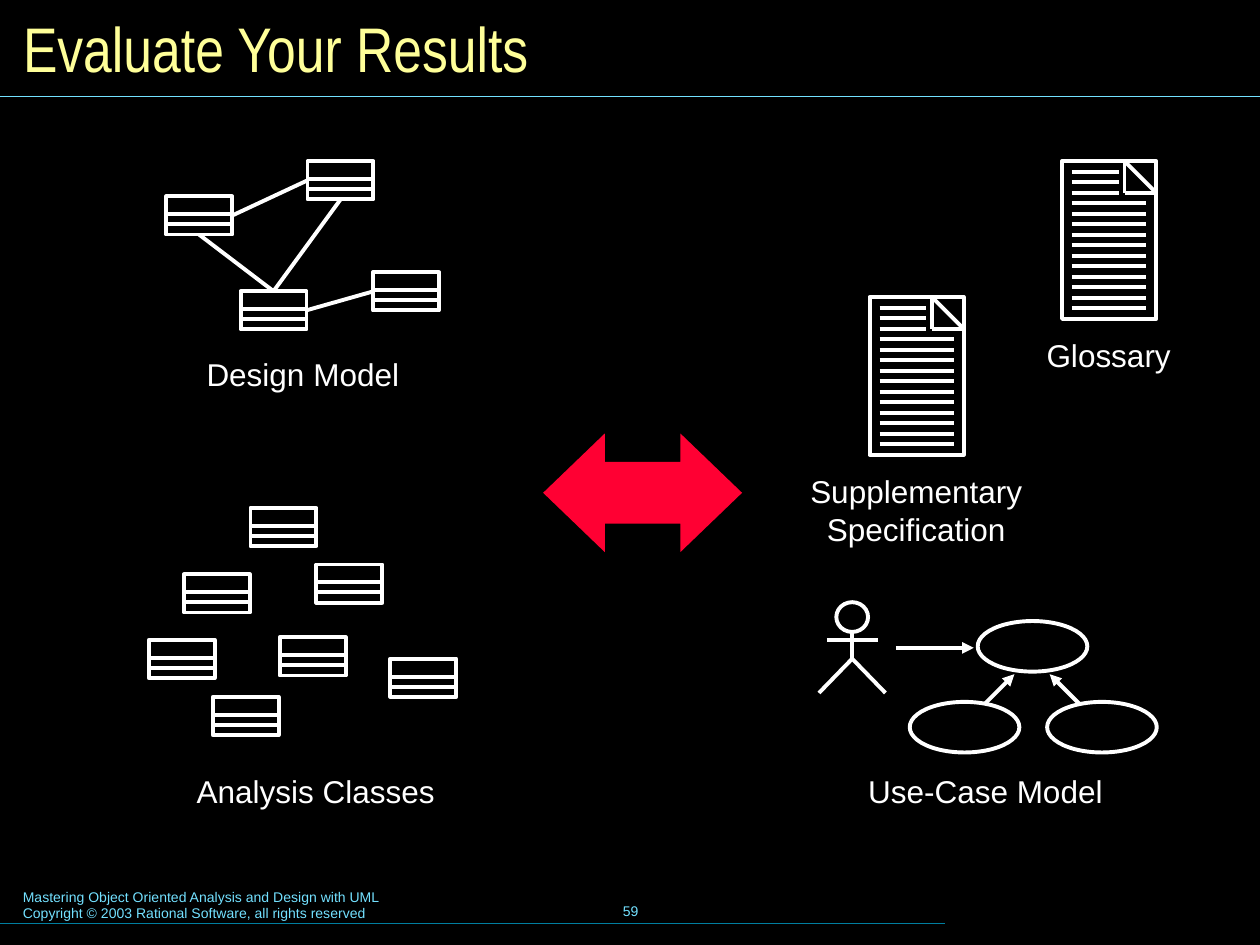
from typing import NamedTuple

from lxml import etree
from pptx import Presentation
from pptx.dml.color import RGBColor
from pptx.enum.shapes import MSO_CONNECTOR, MSO_SHAPE
from pptx.enum.text import MSO_ANCHOR, MSO_AUTO_SIZE, PP_ALIGN
from pptx.oxml.ns import qn
from pptx.util import Cm, Pt

STRAIGHT = MSO_CONNECTOR.STRAIGHT
RECT, OVAL = MSO_SHAPE.RECTANGLE, MSO_SHAPE.OVAL
DOUBLE_ARROW = MSO_SHAPE.LEFT_RIGHT_ARROW
LEFT, CENTER = PP_ALIGN.LEFT, PP_ALIGN.CENTER
TOP, MIDDLE = MSO_ANCHOR.TOP, MSO_ANCHOR.MIDDLE
FIXED, GROW = MSO_AUTO_SIZE.NONE, MSO_AUTO_SIZE.SHAPE_TO_FIT_TEXT
SIDE_TOP, SIDE_LEFT, SIDE_BOTTOM, SIDE_RIGHT = range(4)

BLACK, WHITE, RED = "000000", "FFFFFF", "FF0033"
YELLOW, SKY, TEAL = "FFFF99", "73E1FF", "007E9F"


class Point(NamedTuple):
    x: float
    y: float


class Box(NamedTuple):
    x: float
    y: float
    w: float
    h: float


class Label(NamedTuple):
    lines: list[str]
    box: Box
    size: int = 18
    color: str = WHITE
    align: PP_ALIGN = CENTER
    anchor: MSO_ANCHOR = TOP
    wrap: bool = False
    auto_size: MSO_AUTO_SIZE = GROW


class Join(NamedTuple):
    start: int
    start_side: int
    end: int
    end_side: int


CLASS_W, CLASS_H = 1.33, 0.77
CLASS_RULES = (0.36, 0.56)
DESIGN_CLASSES = [Point(3.35, 3.96), Point(6.2, 3.25), Point(4.85, 5.87), Point(7.52, 5.49)]
DESIGN_JOINS = [
    Join(2, SIDE_TOP, 0, SIDE_BOTTOM),
    Join(0, SIDE_RIGHT, 1, SIDE_LEFT),
    Join(2, SIDE_RIGHT, 3, SIDE_LEFT),
    Join(2, SIDE_TOP, 1, SIDE_BOTTOM),
]
ANALYSIS_CLASSES = [
    Point(3.71, 11.58), Point(6.38, 11.38), Point(5.05, 10.24), Point(7.87, 13.28),
    Point(3, 12.9), Point(4.29, 14.05), Point(5.64, 12.85),
]

DOC_W, DOC_H, FOLD = 1.9, 3.18, 0.64
DOC_ROWS, SHORT_ROWS = 14, 3
DOCUMENTS = [Point(17.53, 5.99), Point(21.41, 3.25)]

USE_CASES = [Point(19.71, 12.52), Point(18.34, 14.15), Point(21.11, 14.15)]
USE_CASE_ARROWS = [
    (Point(18.06, 13.06), Point(19.63, 13.06)),
    (Point(19.84, 14.2), Point(20.45, 13.59)),
    (Point(21.77, 14.2), Point(21.16, 13.59)),
]

LABELS = [
    Label(["Supplementary", "Specification"], Box(16.08, 9.39, 4.78, 1.78)),
    Label(["Glossary"], Box(20.7, 6.65, 3.3, 1.02)),
    Label(["Design Model"], Box(3.91, 7.04, 4.39, 1.02)),
    Label(["Analysis Classes"], Box(3.71, 15.44, 5.31, 1.02)),
    Label(["Use-Case Model"], Box(17.25, 15.44, 5.23, 1.02)),
    Label(["Mastering Object Oriented Analysis and Design with UML",
           "Copyright © 2003 Rational Software, all rights reserved"],
          Box(0.21, 17.78, 12.95, 0.94), 8, SKY, LEFT, TOP, True),
    Label(["59"], Box(8.69, 17.73, 8.05, 1.27), 8, SKY, CENTER, MIDDLE, True, FIXED),
]


def rgb(color: str) -> RGBColor:
    return RGBColor.from_string(color)


def format_text(tf, lines: list[str], size: int, color: str, font: str,
                align: PP_ALIGN, frame: dict) -> None:
    for name, value in frame.items():
        setattr(tf, name, value)
    for i, line in enumerate(lines):
        p = tf.paragraphs[0] if i == 0 else tf.add_paragraph()
        p.alignment = align
        r = p.add_run()
        r.text = line
        for name, value in {"name": font, "size": Pt(size), "bold": False}.items():
            setattr(r.font, name, value)
        r.font.color.rgb = rgb(color)


def add_label(s, label: Label) -> None:
    tf = s.shapes.add_textbox(*map(Cm, label.box)).text_frame
    format_text(tf, label.lines, label.size, label.color, "Arial", label.align,
                {"word_wrap": label.wrap, "vertical_anchor": label.anchor,
                 "auto_size": label.auto_size})


def outline(sp) -> None:
    """Leave a shape unfilled, with the white line used for every icon."""
    sp.shadow.inherit = False
    sp.fill.background()
    sp.line.color.rgb = rgb(WHITE)
    sp.line.width = Pt(2.25)


def add_outlined(s, kind: MSO_SHAPE, box: Box):
    sp = s.shapes.add_shape(kind, *map(Cm, box))
    outline(sp)
    return sp


def add_line(s, start: Point, end: Point, color: str = WHITE, width: float = 2.25,
             arrow: bool = False):
    line = s.shapes.add_connector(STRAIGHT, *map(Cm, (*start, *end)))
    line.line.color.rgb = rgb(color)
    line.line.width = Pt(width)
    if arrow:
        etree.SubElement(line.line._get_or_add_ln(), qn("a:tailEnd"), type="triangle")
    etree.SubElement(line._element.spPr, qn("a:effectLst"))
    return line


def add_class(s, at: Point):
    sp = add_outlined(s, RECT, Box(*at, CLASS_W, CLASS_H))
    for dy in CLASS_RULES:
        add_line(s, Point(at.x, at.y + dy), Point(at.x + CLASS_W, at.y + dy))
    return sp


def add_document(s, at: Point) -> None:
    add_outlined(s, RECT, Box(*at, DOC_W, DOC_H))
    right, fold_x, fold_y = at.x + DOC_W, at.x + DOC_W - FOLD, at.y + FOLD
    corners = [Point(fold_x, at.y), Point(right, fold_y), Point(fold_x, fold_y)]
    for i, corner in enumerate(corners):
        add_line(s, corners[i - 1], corner)
    for row in range(DOC_ROWS):
        y = at.y + (row + 1) * DOC_H / (DOC_ROWS + 1)
        end = fold_x - 0.12 if row < SHORT_ROWS else right - 0.2
        add_line(s, Point(at.x + 0.2, y), Point(end, y))


def add_actor(s) -> None:
    add_outlined(s, OVAL, Box(16.86, 12.14, 0.64, 0.6))
    add_line(s, Point(17.18, 12.75), Point(17.18, 13.28))
    add_line(s, Point(16.67, 12.9), Point(17.69, 12.9))
    legs = s.shapes.build_freeform(Cm(16.51), Cm(13.97))
    legs.add_line_segments([(Cm(17.18), Cm(13.28)), (Cm(17.85), Cm(13.97))], close=False)
    outline(legs.convert_to_shape())


def main() -> None:
    prs = Presentation()
    prs.slide_width, prs.slide_height = Cm(25.4), Cm(19.05)
    s = prs.slides.add_slide(prs.slide_layouts[5])
    s.background.fill.solid()
    s.background.fill.fore_color.rgb = rgb(BLACK)

    title = s.shapes.title
    title.left, title.top, title.width, title.height = map(Cm, (0.21, 0.21, 25, 1.48))
    format_text(title.text_frame, ["Evaluate Your Results"], 36, YELLOW, "Arial Narrow", LEFT,
                {"vertical_anchor": MIDDLE, "auto_size": FIXED})
    add_line(s, Point(0, 1.94), Point(25.4, 1.94), SKY, 0.75)
    add_line(s, Point(0, 18.62), Point(19.05, 18.62), TEAL, 0.75)

    for at in DOCUMENTS:
        add_document(s, at)

    arrow = s.shapes.add_shape(DOUBLE_ARROW, *map(Cm, (10.95, 8.74, 4.01, 2.39)))
    arrow.shadow.inherit = False
    arrow.adjustments[0], arrow.adjustments[1] = 0.52, 0.52
    arrow.fill.solid()
    arrow.fill.fore_color.rgb = rgb(RED)
    arrow.line.fill.background()

    classes = [add_class(s, at) for at in DESIGN_CLASSES]
    for join in DESIGN_JOINS:
        line = add_line(s, DESIGN_CLASSES[join.start], DESIGN_CLASSES[join.end])
        line.begin_connect(classes[join.start], join.start_side)
        line.end_connect(classes[join.end], join.end_side)
    for at in ANALYSIS_CLASSES:
        add_class(s, at)

    add_actor(s)
    for at in USE_CASES:
        add_outlined(s, OVAL, Box(*at, 2.21, 1.02))
    for start, end in USE_CASE_ARROWS:
        add_line(s, start, end, arrow=True)

    for label in LABELS:
        add_label(s, label)
    prs.save("out.pptx")


if __name__ == "__main__":
    main()
